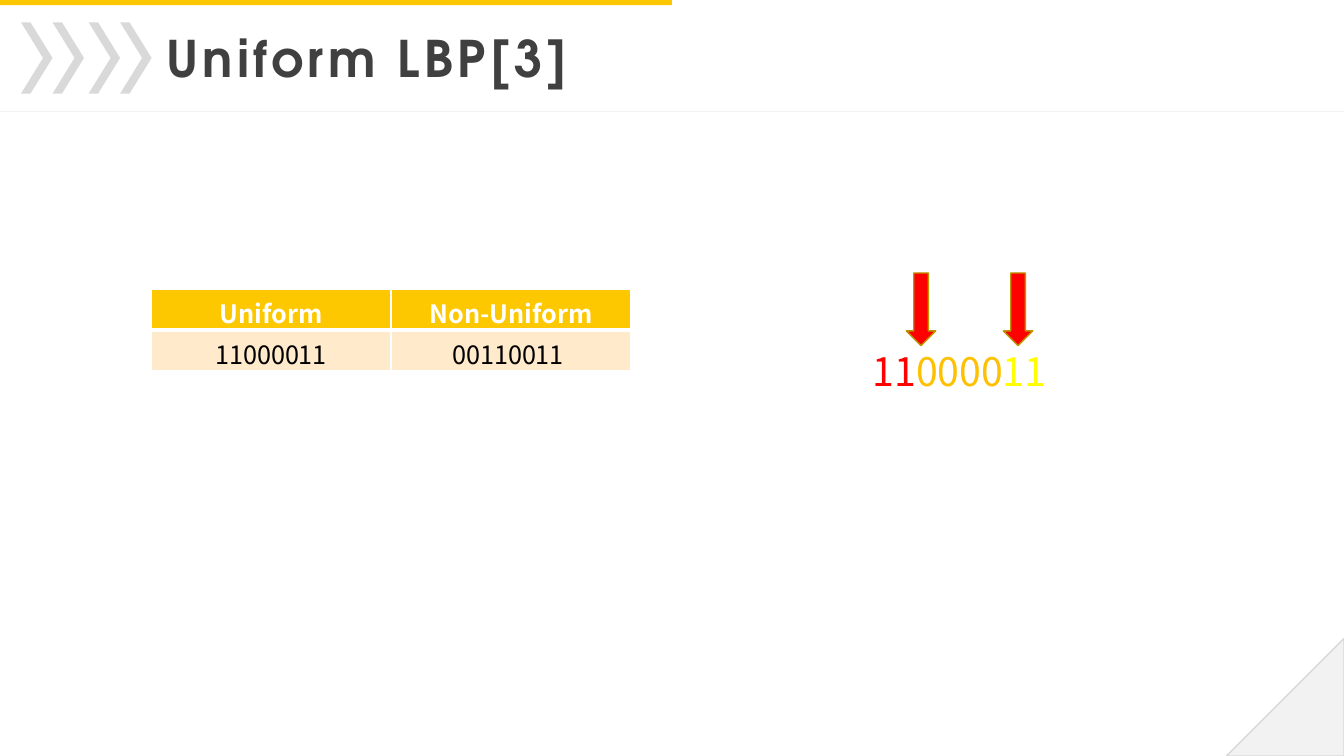
from lxml import etree
from pptx import Presentation
from pptx.dml.color import RGBColor
from pptx.enum.shapes import MSO_CONNECTOR, MSO_SHAPE
from pptx.enum.text import MSO_AUTO_SIZE, PP_ALIGN
from pptx.oxml.ns import qn
from pptx.util import Inches, Pt

RECTANGLE = MSO_SHAPE.RECTANGLE
CHEVRON = MSO_SHAPE.CHEVRON
DOWN_ARROW = MSO_SHAPE.DOWN_ARROW
RIGHT_TRIANGLE = MSO_SHAPE.RIGHT_TRIANGLE
STRAIGHT = MSO_CONNECTOR.STRAIGHT
LEFT, CENTER, RIGHT = PP_ALIGN.LEFT, PP_ALIGN.CENTER, PP_ALIGN.RIGHT
GROW = MSO_AUTO_SIZE.SHAPE_TO_FIT_TEXT

WHITE = RGBColor(0xFF, 0xFF, 0xFF)
BLACK = RGBColor(0x00, 0x00, 0x00)
DARK_GREY = RGBColor(0x40, 0x40, 0x40)
GREY = RGBColor(0xD9, 0xD9, 0xD9)
PALE_GREY = RGBColor(0xF2, 0xF2, 0xF2)
GOLD = RGBColor(0xFE, 0xC8, 0x00)
DARK_GOLD = RGBColor(0xBC, 0x94, 0x00)
CREAM = RGBColor(0xFF, 0xEB, 0xCC)
RED = RGBColor(0xFF, 0x00, 0x00)
ORANGE = RGBColor(0xFF, 0xC0, 0x00)
YELLOW = RGBColor(0xFF, 0xFF, 0x00)

TITLE_FONT = "TeX Gyre Adventor"
BODY_FONT = "Noto Sans CJK KR"

SLIDE_WIDTH, SLIDE_HEIGHT = Inches(13.33), Inches(7.5)
GRID_COLUMNS, GRID_ROWS = 160, 90


def grid(column, row, columns=0, rows=0):
    """Turn a place and size in grid units into slide lengths."""
    across, down = SLIDE_WIDTH / GRID_COLUMNS, SLIDE_HEIGHT / GRID_ROWS
    return [round(length) for length in
            (column * across, row * down, columns * across, rows * down)]


def add_filled_shape(slide, kind, place, fill, line=None):
    shape = slide.shapes.add_shape(kind, *grid(*place))
    shape.shadow.inherit = False
    shape.fill.solid()
    shape.fill.fore_color.rgb = fill
    if line is None:
        shape.line.fill.background()
    else:
        shape.line.color.rgb = line
        shape.line.width = Pt(1)
    return shape


def add_rule(slide, row):
    """Draw a thin line across the whole slide."""
    left, top, width, _ = grid(0, row, GRID_COLUMNS)
    rule = slide.shapes.add_connector(STRAIGHT, left, top, left + width, top)
    rule.line.color.rgb = PALE_GREY
    rule.line.width = Pt(0.5)
    etree.SubElement(rule._element.spPr, qn("a:effectLst"))


def style_font(font, name, size, color, bold=False):
    font.name = name
    font.size = Pt(size)
    font.bold = bold
    font.color.rgb = color


def add_text(slide, place, parts, font_name, size, alignment, bold=False, spacing=0):
    """Add one line of text made of (text, colour) parts."""
    text_frame = slide.shapes.add_textbox(*grid(*place)).text_frame
    text_frame.word_wrap = False
    text_frame.auto_size = GROW
    paragraph = text_frame.paragraphs[0]
    paragraph.alignment = alignment
    for text, color in parts:
        run = paragraph.add_run()
        run.text = text
        style_font(run.font, font_name, size, color, bold)
        if spacing:
            run._r.get_or_add_rPr().set("spc", str(spacing * 100))


def set_borders(cell, bottom_width):
    properties = cell._tc.get_or_add_tcPr()
    widths = {"lnL": 1, "lnR": 1, "lnT": 1, "lnB": bottom_width}
    for position, (side, width) in enumerate(widths.items()):
        border = etree.Element(qn(f"a:{side}"), w=str(Pt(width)))
        fill = etree.SubElement(border, qn("a:solidFill"))
        etree.SubElement(fill, qn("a:srgbClr"), val=str(WHITE))
        properties.insert(position, border)


def add_pattern_table(slide, place, rows):
    """Add a table whose first row is the header."""
    table = slide.shapes.add_table(len(rows), len(rows[0]), *grid(*place)).table
    for row_index, texts in enumerate(rows):
        header = row_index == 0
        for column_index, text in enumerate(texts):
            cell = table.cell(row_index, column_index)
            cell.fill.solid()
            cell.fill.fore_color.rgb = GOLD if header else CREAM
            set_borders(cell, bottom_width=3 if header else 1)
            cell.text_frame.text = text
            paragraph = cell.text_frame.paragraphs[0]
            paragraph.alignment = CENTER
            style_font(paragraph.runs[0].font, BODY_FONT, 18,
                       WHITE if header else BLACK, header)


def add_frame(slide):
    """Add the folded corner, the top bar, the rule and the chevrons."""
    corner = add_filled_shape(slide, RIGHT_TRIANGLE, (146, 76, 14, 14), PALE_GREY, GREY)
    corner._element.spPr.xfrm.set("flipH", "1")
    add_filled_shape(slide, RECTANGLE, (0, 0, GRID_COLUMNS / 2, 0.6), GOLD)
    add_rule(slide, 13.2)
    chevron_width = 3.75
    for pair_start in (2.5, 10.55):
        for index in range(2):
            place = (pair_start + index * chevron_width, 2.65, chevron_width, 8.5)
            chevron = add_filled_shape(slide, CHEVRON, place, GREY)
            chevron.adjustments[0] = 0.7


def main():
    presentation = Presentation()
    presentation.slide_width, presentation.slide_height = SLIDE_WIDTH, SLIDE_HEIGHT
    slide = presentation.slides.add_slide(presentation.slide_layouts[6])

    add_frame(slide)
    add_text(slide, (17.3, 2.65, 51.5, 8.5), [("Uniform LBP[3]", DARK_GREY)],
             TITLE_FONT, 36, RIGHT, bold=True, spacing=3)
    add_text(slide, (102.7, 40.7, 25.45, 6.85),
             [("11", RED), ("0000", ORANGE), ("11", YELLOW)], BODY_FONT, 28, LEFT)
    for transition_column in (107.9, 119.45):
        add_filled_shape(slide, DOWN_ARROW, (transition_column, 32.5, 3.5, 8.65),
                         RED, DARK_GOLD)
    add_pattern_table(slide, (18, 34.45, 57.1, 9.7),
                      [("Uniform", "Non-Uniform"), ("11000011", "00110011 ")])

    presentation.save("out.pptx")


if __name__ == "__main__":
    main()
